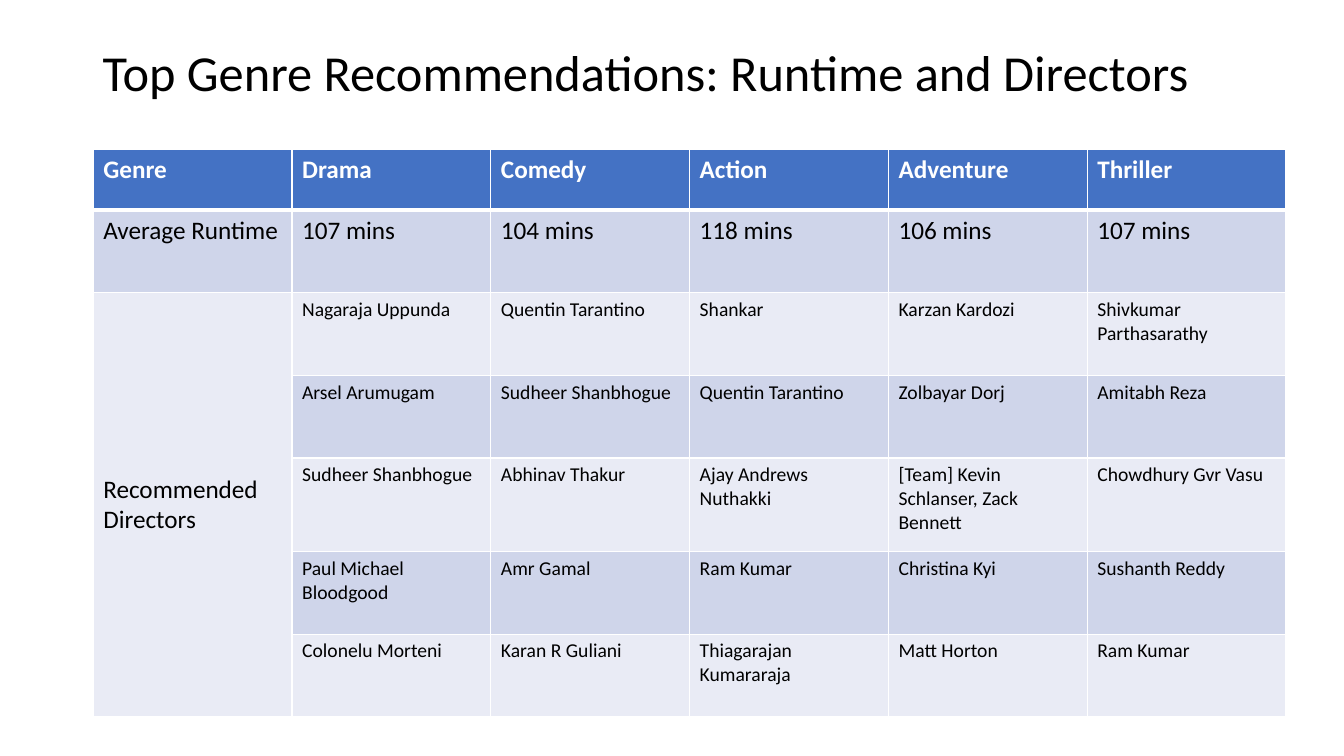
from lxml import etree
from pptx import Presentation
from pptx import util as u
from pptx.dml.color import RGBColor
from pptx.enum import text
from pptx.oxml import ns

BLACK = RGBColor(0x00, 0x00, 0x00)
WHITE = RGBColor(0xFF, 0xFF, 0xFF)
HEADER_BLUE = RGBColor(0x44, 0x72, 0xC4)
DARK_BAND = RGBColor(0xCF, 0xD5, 0xEA)
LIGHT_BAND = RGBColor(0xE9, 0xEB, 0xF5)
FONT = "Calibri"

ROWS = [
    ["Genre", "Drama", "Comedy", "Action", "Adventure", "Thriller"],
    ["Average Runtime", "107 mins", "104 mins", "118 mins", "106 mins", "107 mins"],
    ["Recommended Directors", "Nagaraja Uppunda", "Quentin Tarantino", "Shankar",
     "Karzan Kardozi", "Shivkumar Parthasarathy"],
    ["", "Arsel Arumugam", "Sudheer Shanbhogue", "Quentin Tarantino",
     "Zolbayar Dorj", "Amitabh Reza"],
    ["", "Sudheer Shanbhogue", "Abhinav Thakur", "Ajay Andrews Nuthakki",
     "[Team] Kevin Schlanser, Zack Bennett", "Chowdhury Gvr Vasu"],
    ["", "Paul Michael Bloodgood", "Amr Gamal", "Ram Kumar",
     "Christina Kyi", "Sushanth Reddy"],
    ["", "Colonelu Morteni", "Karan R Guliani", "Thiagarajan Kumararaja",
     "Matt Horton", "Ram Kumar"],
]
ROW_HEIGHTS = [1.54, 2.08, 2.08, 2.08, 2.36, 2.08, 2.08]
COLUMN_WIDTH = 5.01
FIRST_DIRECTOR_ROW = 2


def style_font(paragraph, size, color, bold=False):
    """Set the font of a whole paragraph."""
    font = paragraph.font
    font.name, font.size, font.bold = FONT, u.Pt(size), bold
    font.color.rgb = color


def add_borders(cell, top, bottom):
    """Draw white borders round a cell; top and bottom widths are in points."""
    properties = cell._tc.get_or_add_tcPr()
    for side, width in (("L", 1), ("R", 1), ("T", top), ("B", bottom)):
        line = etree.SubElement(properties, ns.qn("a:ln" + side), w=str(u.Pt(width)))
        fill = etree.SubElement(line, ns.qn("a:solidFill"))
        etree.SubElement(fill, ns.qn("a:srgbClr"), val=str(WHITE))


presentation = Presentation()
presentation.slide_width = u.Cm(33.87)
presentation.slide_height = u.Cm(19.05)
slide = presentation.slides.add_slide(presentation.slide_layouts[5])

title = slide.shapes.title
title.left, title.top, title.width, title.height = map(u.Cm, (2.33, 1.02, 29.21, 1.75))
title.text_frame.text = "Top Genre Recommendations: Runtime and Directors"
title.text_frame.vertical_anchor = text.MSO_ANCHOR.MIDDLE
title.text_frame.auto_size = text.MSO_AUTO_SIZE.NONE
heading = title.text_frame.paragraphs[0]
heading.alignment = text.PP_ALIGN.LEFT
heading.line_spacing = 0.9
style_font(heading, 36, BLACK)

table = slide.shapes.add_table(
    len(ROWS), len(ROWS[0]), u.Cm(2.35), u.Cm(3.76),
    u.Cm(COLUMN_WIDTH * len(ROWS[0])), u.Cm(sum(ROW_HEIGHTS))).table
for column in table.columns:
    column.width = u.Cm(COLUMN_WIDTH)

for row_index, (names, height) in enumerate(zip(ROWS, ROW_HEIGHTS)):
    table.rows[row_index].height = u.Cm(height)
    is_header = row_index == 0
    band = HEADER_BLUE if is_header else DARK_BAND if row_index % 2 else LIGHT_BAND
    for column_index, name in enumerate(names):
        cell = table.cell(row_index, column_index)
        add_borders(cell, top=3 if row_index == 1 else 1, bottom=3 if is_header else 1)
        cell.fill.solid()
        cell.fill.fore_color.rgb = band
        cell.text = name
        is_director = row_index >= FIRST_DIRECTOR_ROW and column_index > 0
        style_font(cell.text_frame.paragraphs[0], 14 if is_director else 18,
                   WHITE if is_header else BLACK, is_header)

directors_label = table.cell(FIRST_DIRECTOR_ROW, 0)
directors_label.merge(table.cell(len(ROWS) - 1, 0))
directors_label.vertical_anchor = text.MSO_ANCHOR.MIDDLE

presentation.save("out.pptx")
